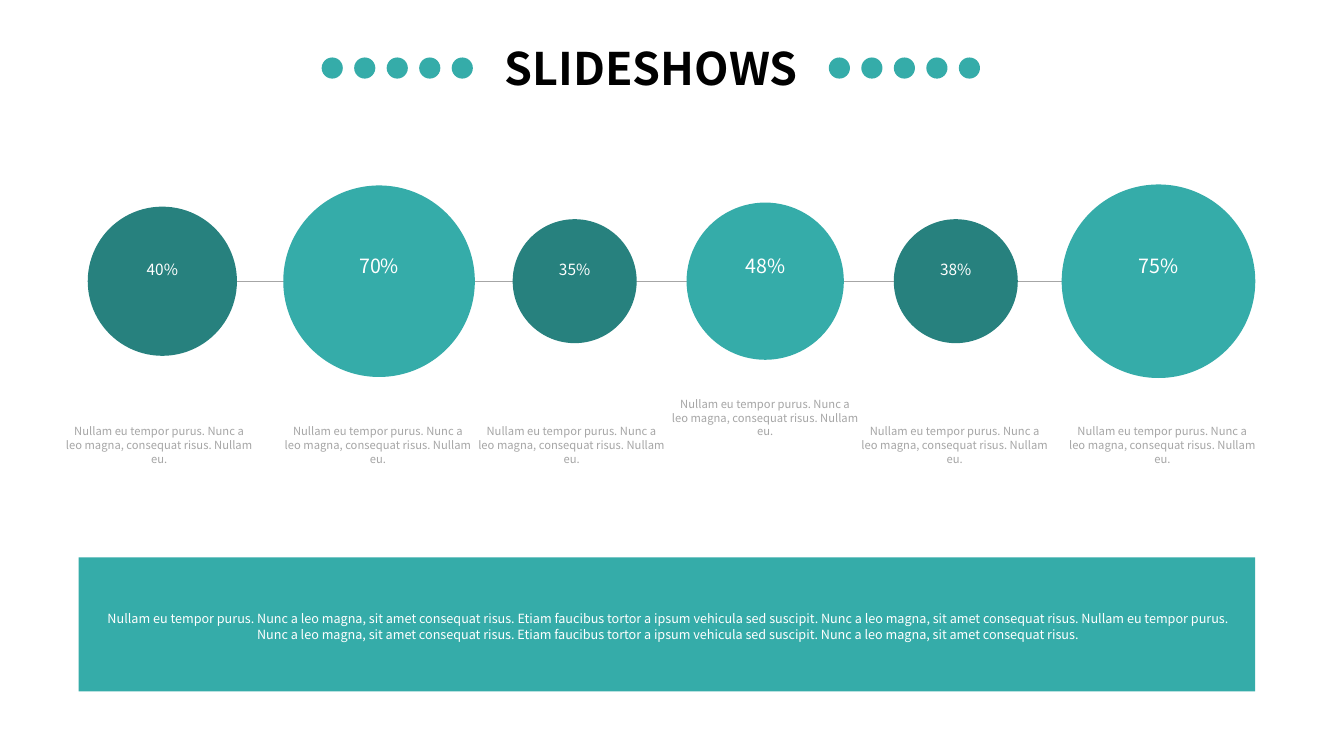
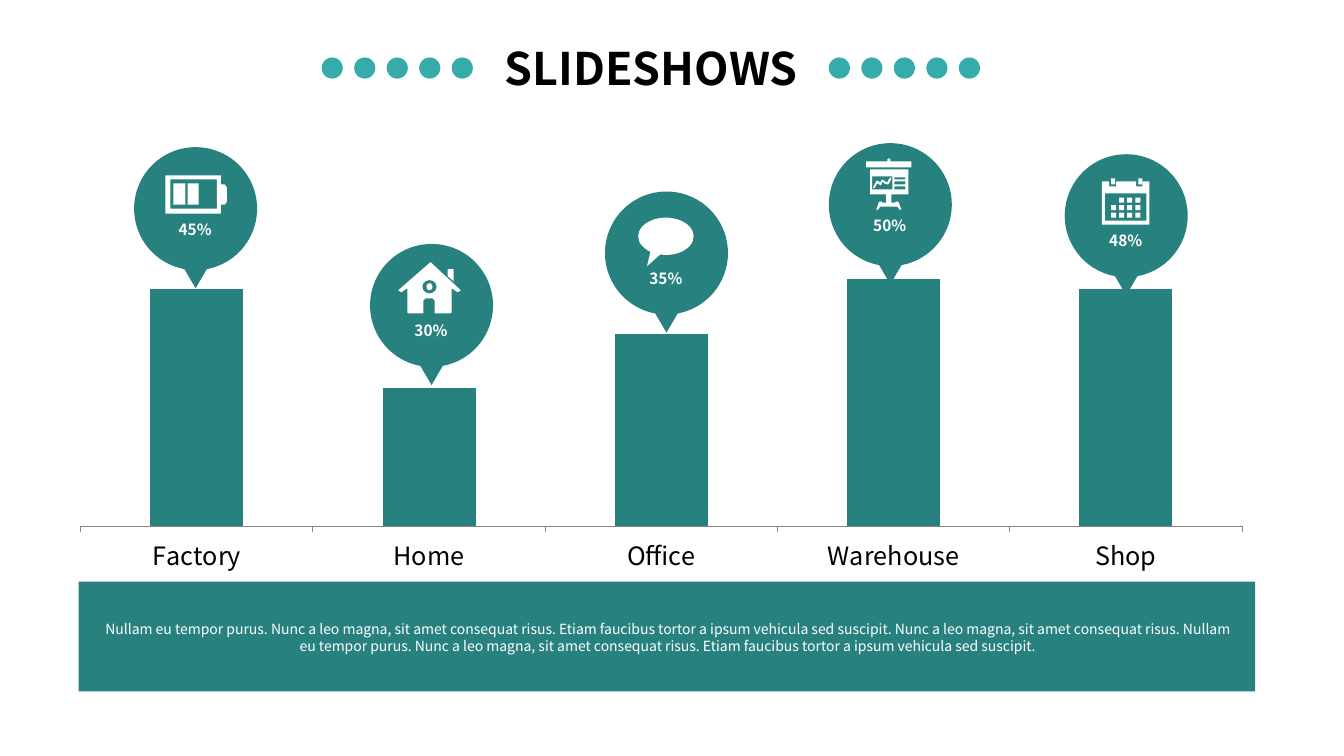
from pptx import Presentation
from pptx import util as u
from pptx.chart import data as chart_data
from pptx.dml.color import RGBColor
from pptx.enum import chart as charts, shapes, text
from pptx.oxml import parse_xml
from pptx.oxml import ns

Inches, Pt = u.Inches, u.Pt
KIND = shapes.MSO_SHAPE

TEAL = RGBColor(0x35, 0xAC, 0xA9)
DARK_TEAL = RGBColor(0x27, 0x81, 0x7E)
GRAY = RGBColor(0xA6, 0xA6, 0xA6)
AXIS_GRAY = RGBColor(0x86, 0x86, 0x86)
WHITE = RGBColor(0xFF, 0xFF, 0xFF)
BLACK = RGBColor(0, 0, 0)
FONT = "Noto Sans CJK JP"
LINE_HEIGHT = 1.22

TITLE = "SLIDESHOWS"
CAPTION = "Nullam eu tempor purus. Nunc a leo magna, consequat risus. Nullam eu."
OPENING = "Nullam eu tempor purus. "
MAGNA = "Nunc a leo magna, sit amet consequat risus. "
FAUCIBUS = "Etiam faucibus tortor a ipsum vehicula sed suscipit. "
SUMMARY = (OPENING + MAGNA + FAUCIBUS + MAGNA + OPENING + MAGNA + FAUCIBUS).strip()

CIRCLE_AXIS = 2.79
CIRCLES = [
    ("40%", 1.61, 1.48, DARK_TEAL, 11, 0.58, 4.18),
    ("70%", 3.76, 1.9, TEAL, 14, 2.75, 4.18),
    ("35%", 5.7, 1.23, DARK_TEAL, 11, 4.67, 4.18),
    ("48%", 7.59, 1.56, TEAL, 14, 6.59, 3.91),
    ("38%", 9.48, 1.23, DARK_TEAL, 11, 8.47, 4.18),
    ("75%", 11.49, 1.92, TEAL, 14, 10.53, 4.18),
]
BARS = {"Factory": 96, "Home": 56, "Office": 78, "Warehouse": 100, "Shop": 96}


def write(shape, content, size, color, bold=False, align=text.PP_ALIGN.CENTER,
          anchor=text.MSO_ANCHOR.TOP, wrap=True, inset=(0.07, 0.03)):
    frame = shape.text_frame
    frame.auto_size = text.MSO_AUTO_SIZE.NONE
    frame.word_wrap = wrap
    frame.vertical_anchor = anchor
    frame.margin_left = frame.margin_right = Inches(inset[0])
    frame.margin_top = frame.margin_bottom = Inches(inset[1])
    para = frame.paragraphs[0]
    para.alignment = align
    para.line_spacing = Pt(size * LINE_HEIGHT)
    span = para.add_run()
    span.text = content
    span.font.name, span.font.size, span.font.bold = FONT, Pt(size), bold
    span.font.color.rgb = color


def add_text(parent, left, top, width, height, content, **style):
    box = parent.shapes.add_textbox(*map(Inches, (left, top, width, height)))
    write(box, content, **style)


def paint(shape, color):
    shape.shadow.inherit = False
    shape.fill.solid()
    shape.fill.fore_color.rgb = color
    shape.line.fill.background()
    return shape


def add_shape(parent, kind, left, top, width, height, color):
    shape = parent.shapes.add_shape(kind, *map(Inches, (left, top, width, height)))
    return paint(shape, color)


def add_outline(parent, left, top, *contours):
    """Contour points are hundredths of an inch from left and top."""
    builder = parent.shapes.build_freeform(*contours[0][0], scale=Inches(0.01))
    builder.add_line_segments(contours[0][1:], close=True)
    for contour in contours[1:]:
        builder.move_to(*contour[0])
        builder.add_line_segments(contour[1:], close=True)
    paint(builder.convert_to_shape(Inches(left), Inches(top)), WHITE)


def window(left, top, right, bottom):
    return [(left, top), (left, bottom), (right, bottom), (right, top)]


def add_header(page):
    title = page.shapes.title
    title.left, title.top, title.width, title.height = map(Inches, (4.83, 0.34, 3.26, 0.64))
    write(title, TITLE, size=32, color=BLACK, bold=True, wrap=False, inset=(0.05, 0.05))
    for start in (3.19, 8.22):
        for index in range(5):
            add_shape(page, KIND.OVAL, start + 0.3225 * index, 0.57, 0.21, 0.21, TEAL)


def add_band(page, top, height, color, content, size, text_top, text_height):
    add_shape(page, KIND.RECTANGLE, 0.78, top, 11.67, height, color)
    add_text(page, 0.92, text_top, 11.4, text_height, content, size=size, color=WHITE,
             anchor=text.MSO_ANCHOR.MIDDLE)


def add_circle(page, label, center, diameter, color, size, caption_left, caption_top):
    add_shape(page, KIND.OVAL, center - diameter / 2, CIRCLE_AXIS - diameter / 2,
              diameter, diameter, color)
    label_top = 2.55 if size == 11 else 2.49
    add_text(page, center - 0.72, label_top, 1.44, 0.3, label, size=size, color=WHITE)
    add_text(page, caption_left, caption_top, 2, 0.47, CAPTION, size=8, color=GRAY)


def draw_battery(pin, left, top):
    add_outline(pin, left, top,
                [(31, 28), (86, 28), (86, 37), (90, 37), (92, 40), (92, 54),
                 (90, 57), (86, 57), (86, 66), (31, 66)],
                window(36, 32, 82, 61))
    for cell_left, width in ((0.39, 0.12), (0.53, 0.11)):
        add_shape(pin, KIND.RECTANGLE, left + cell_left, top + 0.36, width, 0.21, WHITE)


def draw_house(pin, left, top):
    add_outline(pin, left, top,
                [(60, 18), (28, 46), (31, 48), (37, 44), (37, 68), (38, 69), (53, 69),
                 (53, 56), (55, 54), (62, 54), (64, 56), (64, 69), (80, 69), (81, 68),
                 (81, 44), (87, 48), (90, 46)])
    add_outline(pin, left, top, [(83, 37), (83, 25), (77, 25), (77, 32)])
    add_shape(pin, KIND.OVAL, left + 0.52, top + 0.36, 0.14, 0.13, DARK_TEAL)
    add_shape(pin, KIND.OVAL, left + 0.56, top + 0.39, 0.06, 0.07, WHITE)


def draw_speech(pin, left, top):
    bubble = add_shape(pin, KIND.OVAL_CALLOUT, left + 0.33, top + 0.26, 0.55, 0.37, WHITE)
    bubble.adjustments[0], bubble.adjustments[1] = -0.34, 0.8


def draw_board(pin, left, top):
    add_outline(pin, left, top,
                [(61, 18), (61, 16), (60, 15), (58, 16), (58, 18), (37, 18),
                 (37, 24), (82, 24), (82, 18)])
    add_outline(pin, left, top,
                [(79, 51), (79, 26), (41, 26), (41, 51), (57, 51), (57, 59), (53, 59),
                 (53, 58), (50, 58), (47, 66), (49, 66), (51, 63), (68, 63), (70, 66),
                 (72, 66), (69, 58), (66, 58), (66, 59), (62, 59), (62, 51)],
                window(65, 34, 76, 36), window(65, 38, 76, 41),
                window(65, 43, 76, 46), window(43, 33, 63, 46))
    add_outline(pin, left, top,
                [(59, 37), (58, 39), (56, 38), (53, 36), (51, 39), (48, 37), (47, 38),
                 (44, 44), (45, 45), (48, 40), (50, 41), (52, 42), (53, 38), (55, 40),
                 (58, 41), (59, 41), (61, 38), (62, 35), (61, 34)])


def draw_calendar(pin, left, top):
    add_outline(pin, left, top,
                [(84, 27), (77, 27), (77, 32), (71, 32), (71, 27), (51, 27), (51, 32),
                 (44, 32), (44, 27), (37, 27), (37, 70), (84, 70)],
                window(40, 39, 81, 66))
    for ring_left in (0.46, 0.73):
        add_shape(pin, KIND.RECTANGLE, left + ring_left, top + 0.24, 0.04, 0.06, WHITE)
    for day in range(1, 12):
        row, column = divmod(day, 4)
        add_shape(pin, KIND.RECTANGLE, left + 0.46 + 0.08 * column,
                  top + 0.43 + 0.075 * row, 0.05, 0.05, WHITE)


def add_pin(page, left, top, label, label_offset, draw_icon):
    pin = page.shapes.add_group_shape()
    add_shape(pin, KIND.OVAL, left, top, 1.22, 1.22, DARK_TEAL)
    pointer = add_shape(pin, KIND.ISOSCELES_TRIANGLE, left + 0.4, top + 1.04, 0.42, 0.36,
                        DARK_TEAL)
    pointer.rotation = 180
    draw_icon(pin, left, top)
    add_text(pin, left + 0.11, top + label_offset, 0.99, 0.25, label, size=11,
             color=WHITE, bold=True)


def add_bar_chart(page, left, top, width, height):
    values = chart_data.CategoryChartData()
    values.categories = list(BARS)
    values.add_series("Series 1", list(BARS.values()))
    chart = page.shapes.add_chart(charts.XL_CHART_TYPE.COLUMN_CLUSTERED,
                                  *map(Inches, (left, top, width, height)), values).chart
    chart.has_legend = chart.has_title = False
    chart.font.name, chart.font.size = FONT, Pt(18)
    chart.font.color.rgb = BLACK
    plot = chart.plots[0]
    plot.gap_width, plot.vary_by_categories = 150, False
    bars = plot.series[0].format.fill
    bars.solid()
    bars.fore_color.rgb = DARK_TEAL
    scale = chart.value_axis
    scale.minimum_scale, scale.maximum_scale = 0, 100
    scale.has_major_gridlines = scale.visible = False
    axis = chart.category_axis
    axis.major_tick_mark = charts.XL_TICK_MARK.OUTSIDE
    axis.format.line.color.rgb = AXIS_GRAY
    axis.format.line.width = Pt(0.75)
    area = chart.element.xpath("c:chart/c:plotArea")[0]
    for layout in area.xpath("c:layout"):
        area.remove(layout)
    places = "".join(f'<c:{name} val="{value}"/>' for name, value in
                     (("x", 0.02), ("y", 0.1), ("w", 0.96), ("h", 0.74)))
    area.insert(0, parse_xml(
        f'<c:layout {ns.nsdecls("c")}><c:manualLayout><c:layoutTarget val="inner"/>'
        f'<c:xMode val="edge"/><c:yMode val="edge"/>{places}</c:manualLayout></c:layout>'))


def build_circles_page(page):
    line = page.shapes.add_connector(shapes.MSO_CONNECTOR.STRAIGHT, Inches(0.87),
                                     Inches(CIRCLE_AXIS), Inches(12.44), Inches(CIRCLE_AXIS))
    line.line.color.rgb = GRAY
    line.line.width = Pt(0.75)
    line.element.spPr.append(parse_xml(f'<a:effectLst {ns.nsdecls("a")}/>'))
    for circle in CIRCLES:
        add_circle(page, *circle)
    add_band(page, 5.53, 1.33, TEAL, SUMMARY + " " + MAGNA.strip(), 9, 6.03, 0.37)


def build_bars_page(page):
    add_bar_chart(page, 0.56, 2.44, 12, 3.31)
    for pin in (
        (1.33, 1.46, "45%", 0.69, draw_battery),
        (3.67, 2.42, "30%", 0.73, draw_house),
        (6, 1.9, "35%", 0.74, draw_speech),
        (8.22, 1.42, "50%", 0.69, draw_board),
        (10.56, 1.53, "48%", 0.73, draw_calendar),
    ):
        add_pin(page, *pin)
    add_band(page, 5.77, 1.09, DARK_TEAL, SUMMARY, 10, 6.12, 0.4)


def main():
    deck = Presentation()
    deck.slide_width, deck.slide_height = Inches(13.33), Inches(7.5)
    for build in (build_circles_page, build_bars_page):
        page = deck.slides.add_slide(deck.slide_layouts[5])
        add_header(page)
        build(page)
    deck.save("out.pptx")


if __name__ == "__main__":
    main()
